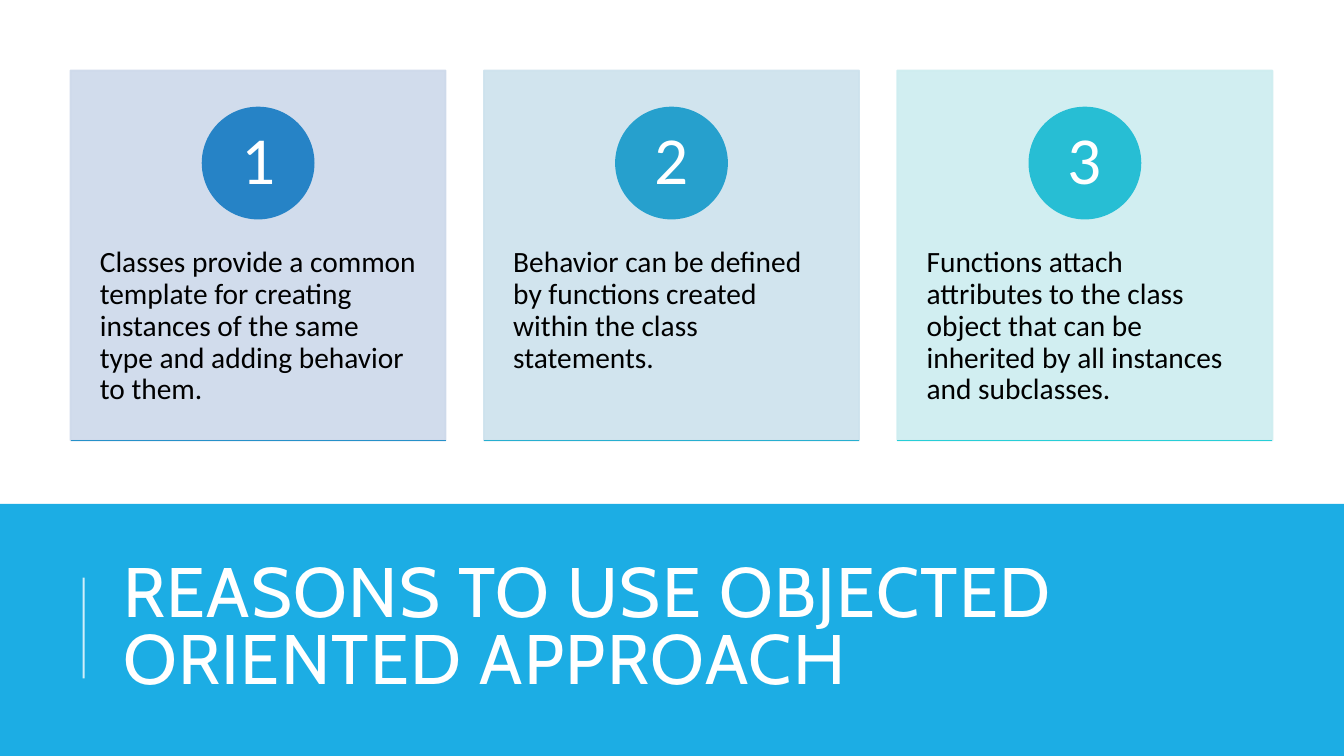
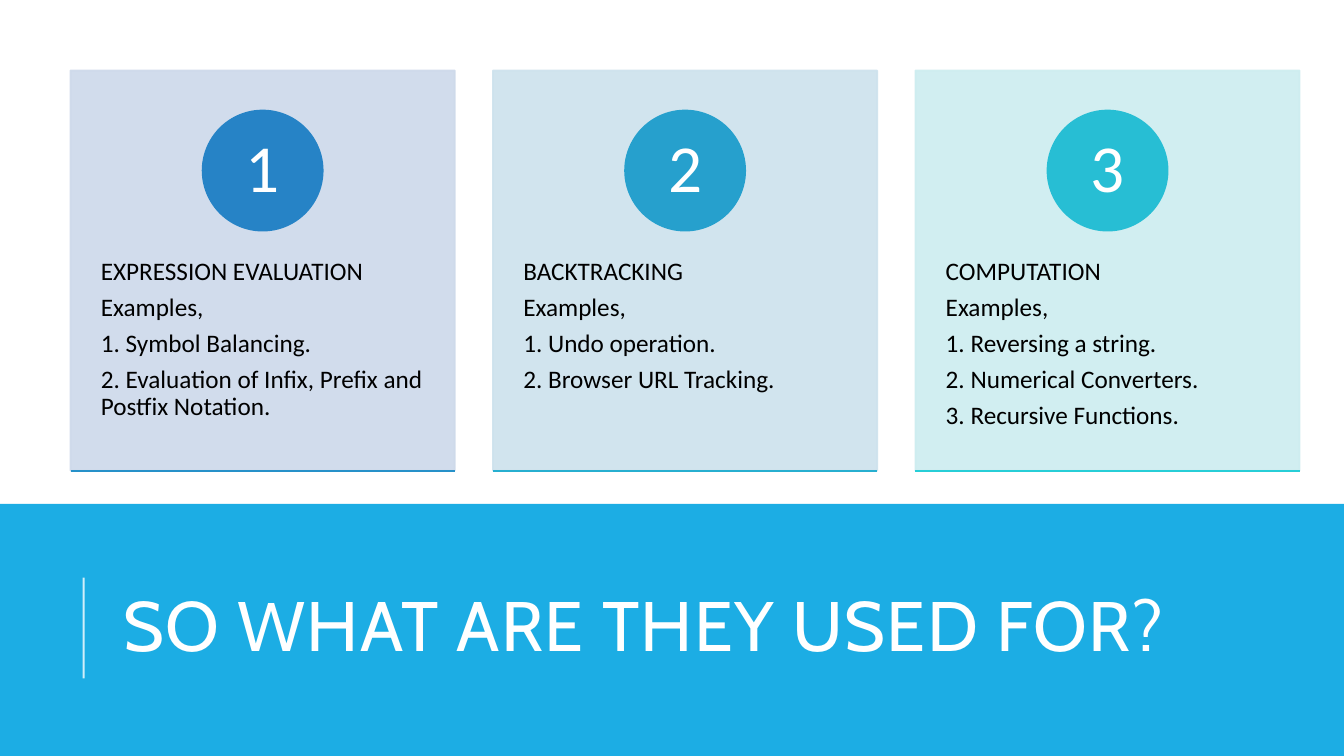
import pptx
import pptx.dml.color
import pptx.enum.shapes
import pptx.enum.text
import pptx.oxml
import pptx.oxml.ns
import pptx.util

Inches, Pt = pptx.util.Inches, pptx.util.Pt
SHAPE = pptx.enum.shapes.MSO_SHAPE
STRAIGHT = pptx.enum.shapes.MSO_CONNECTOR.STRAIGHT
ALIGN = pptx.enum.text.PP_ALIGN
ANCHOR = pptx.enum.text.MSO_ANCHOR
NO_FIT = pptx.enum.text.MSO_AUTO_SIZE.NONE
qn = pptx.oxml.ns.qn
rgb = pptx.dml.color.RGBColor.from_string

WHITE, BLACK, BAND = "FFFFFF", "000000", "1CADE4"
# Card fill, circle and bottom rule of each column
COLUMNS = [
    ("CDD9EA", "2683C6", "2691C9"),
    ("CDE2ED", "26A0CD", "27AFD0"),
    ("CDEDF0", "27BED4", "27CED7"),
]
CARD_LEFT = CARD_TOP = 0.7
CARD_GAP = 0.38

TITLE_FONT = {"name": "Cabin", "size": Pt(50)}
NUMBER_FONT = {"name": "Calibri", "size": Pt(48)}
TITLE_FRAME = {"vertical_anchor": ANCHOR.MIDDLE}
NUMBER_FRAME = {
    "vertical_anchor": ANCHOR.MIDDLE,
    "margin_left": Inches(0.09), "margin_right": Inches(0.09),
    "margin_top": Inches(0.01), "margin_bottom": Inches(0.01),
}

SLIDES = [
    {
        "title": "REASONS TO USE OBJECTED ORIENTED APPROACH",
        "card": (3.72, 3.67), "inset": 0.29, "size": 21,
        "texts": [
            ["Classes provide a common template for creating instances "
             "of the same type and adding behavior to them."],
            ["Behavior can be defined by functions created within the "
             "class statements."],
            ["Functions attach attributes to the class object that can be "
             "inherited by all instances and subclasses."],
        ],
    },
    {
        "title": "SO WHAT ARE THEY USED FOR?",
        "card": (3.81, 3.97), "inset": 0.3, "size": 18,
        "texts": [
            ["EXPRESSION EVALUATION", "Examples,", "1. Symbol Balancing.",
             "2. Evaluation of Infix, Prefix and Postfix Notation."],
            ["BACKTRACKING", "Examples,", "1. Undo operation.",
             "2. Browser URL Tracking."],
            ["COMPUTATION", "Examples,", "1. Reversing a string.",
             "2. Numerical Converters.", "3. Recursive Functions."],
        ],
    },
]


def paint(sp, fill=None, line=None, width=1.25, alpha=100):
    """Set fill, line and opacity (percent) and remove the shadow."""
    if fill:
        sp.fill.solid()
        sp.fill.fore_color.rgb = rgb(fill)
    if line:
        sp.line.color.rgb = rgb(line)
        sp.line.width = Pt(width)
    else:
        sp.line.fill.background()
    spPr = sp.element.spPr
    if alpha < 100:
        for clr in spPr.iter(qn("a:srgbClr")):
            etree_alpha = pptx.oxml.parse_xml(
                '<a:alpha %s val="%d"/>' % (pptx.oxml.ns.nsdecls("a"), alpha * 1000))
            clr.append(etree_alpha)
    spPr.append(pptx.oxml.parse_xml(
        "<a:effectLst %s/>" % pptx.oxml.ns.nsdecls("a")))


def write(tf, lines, color, font, frame, para):
    """Fill a text frame with one paragraph per line, all formatted alike."""
    for name, value in {"word_wrap": True, "auto_size": NO_FIT, **frame}.items():
        setattr(tf, name, value)
    for i, line in enumerate(lines):
        p = tf.paragraphs[0] if i == 0 else tf.add_paragraph()
        r = p.add_run()
        r.text = line
        r.font.color.rgb = rgb(color)
        for target, values in ((p, para), (r.font, font)):
            for name, value in values.items():
                setattr(target, name, value)


prs = pptx.Presentation()
prs.slide_width, prs.slide_height = Inches(13.33), Inches(7.5)

for content in SLIDES:
    s = prs.slides.add_slide(prs.slide_layouts[5])

    band = s.shapes.add_shape(
        SHAPE.RECTANGLE, 0, Inches(5), prs.slide_width, Inches(2.5))
    paint(band, BAND)
    bar = s.shapes.add_connector(
        STRAIGHT, Inches(0.83), Inches(6.73), Inches(0.83), Inches(5.73))
    paint(bar, line=WHITE, width=1.5, alpha=80)

    title = s.shapes.title
    title.left, title.top = Inches(1.12), Inches(5.44)
    title.width, title.height = Inches(10.63), Inches(1.64)
    write(title.text_frame, [content["title"]], WHITE, TITLE_FONT, TITLE_FRAME,
          {"alignment": ALIGN.LEFT, "line_spacing": 0.8, "space_before": Pt(0)})
    title.text_frame.paragraphs[0].runs[0].font._element.set("spc", "100")
    band.element.getparent().append(title.element)  # bring in front of the band

    width, height = content["card"]
    bottom = CARD_TOP + height
    diameter = 0.3 * height
    body_frame = {
        "vertical_anchor": ANCHOR.TOP,
        "margin_left": Inches(content["inset"]),
        "margin_right": Inches(content["inset"]),
        "margin_top": Inches(0.36), "margin_bottom": Inches(0.36),
    }
    body_font = {"name": "Calibri", "size": Pt(content["size"])}
    body_para = {"alignment": ALIGN.LEFT, "line_spacing": 0.9,
                 "space_after": Pt(0.35 * content["size"])}

    for i, (lines, colors) in enumerate(zip(content["texts"], COLUMNS)):
        card_color, circle_color, rule_color = colors
        left = CARD_LEFT + i * (width + CARD_GAP)

        card = s.shapes.add_shape(
            SHAPE.RECTANGLE, Inches(left), Inches(CARD_TOP),
            Inches(width), Inches(height))
        paint(card, card_color, card_color, alpha=90)

        body = s.shapes.add_textbox(
            Inches(left), Inches(CARD_TOP + 0.38 * height),
            Inches(width), Inches(0.6 * height))
        write(body.text_frame, lines, BLACK, body_font, body_frame, body_para)

        circle = s.shapes.add_shape(
            SHAPE.OVAL, Inches(left + (width - diameter) / 2),
            Inches(CARD_TOP + 0.1 * height), Inches(diameter), Inches(diameter))
        paint(circle, circle_color, circle_color)
        write(circle.text_frame, [str(i + 1)], WHITE, NUMBER_FONT, NUMBER_FRAME,
              {"alignment": ALIGN.CENTER, "line_spacing": 0.9,
               "space_after": Pt(16.8)})

        rule = s.shapes.add_connector(
            STRAIGHT, Inches(left), Inches(bottom),
            Inches(left + width), Inches(bottom))
        paint(rule, line=rule_color)

prs.save("out.pptx")
